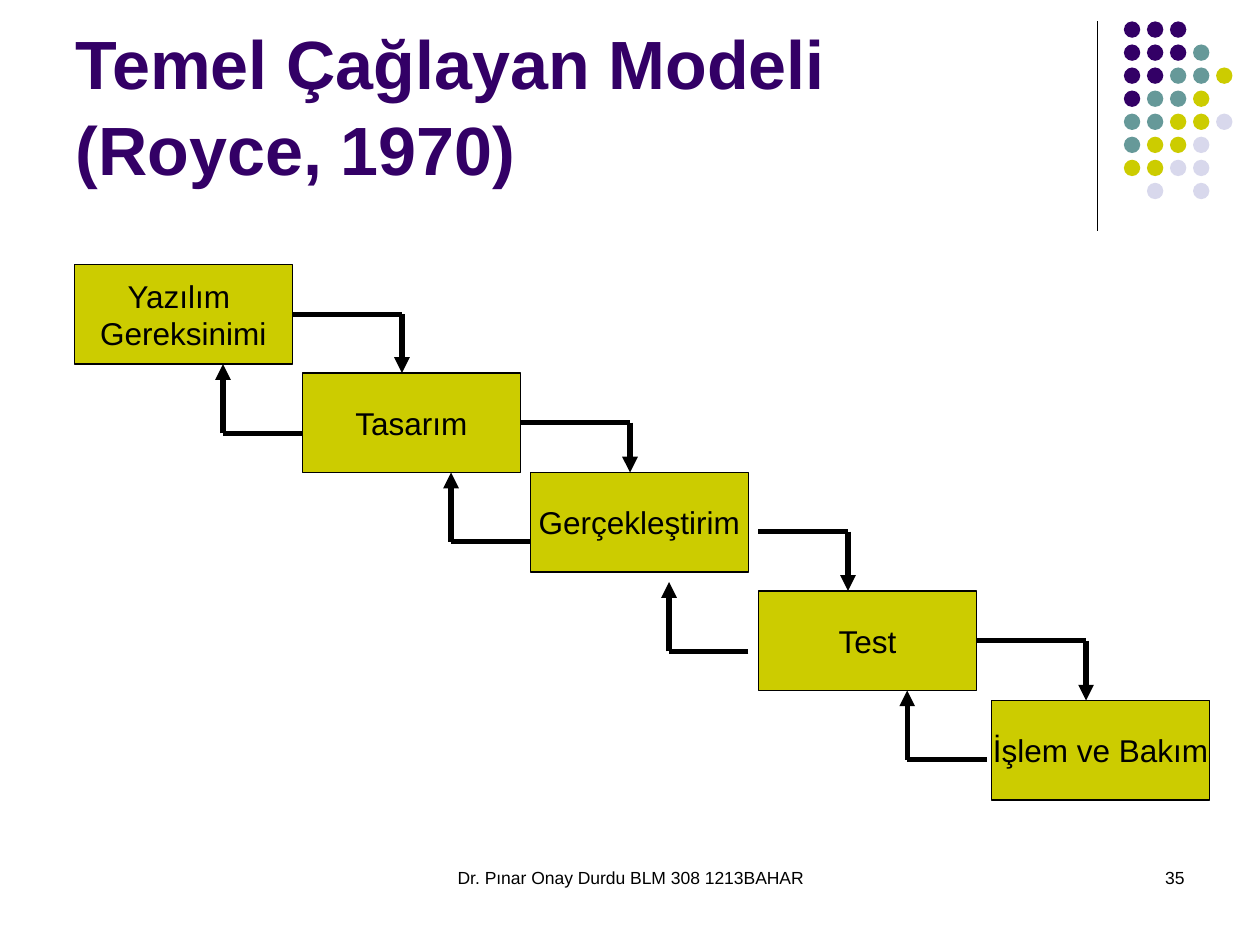
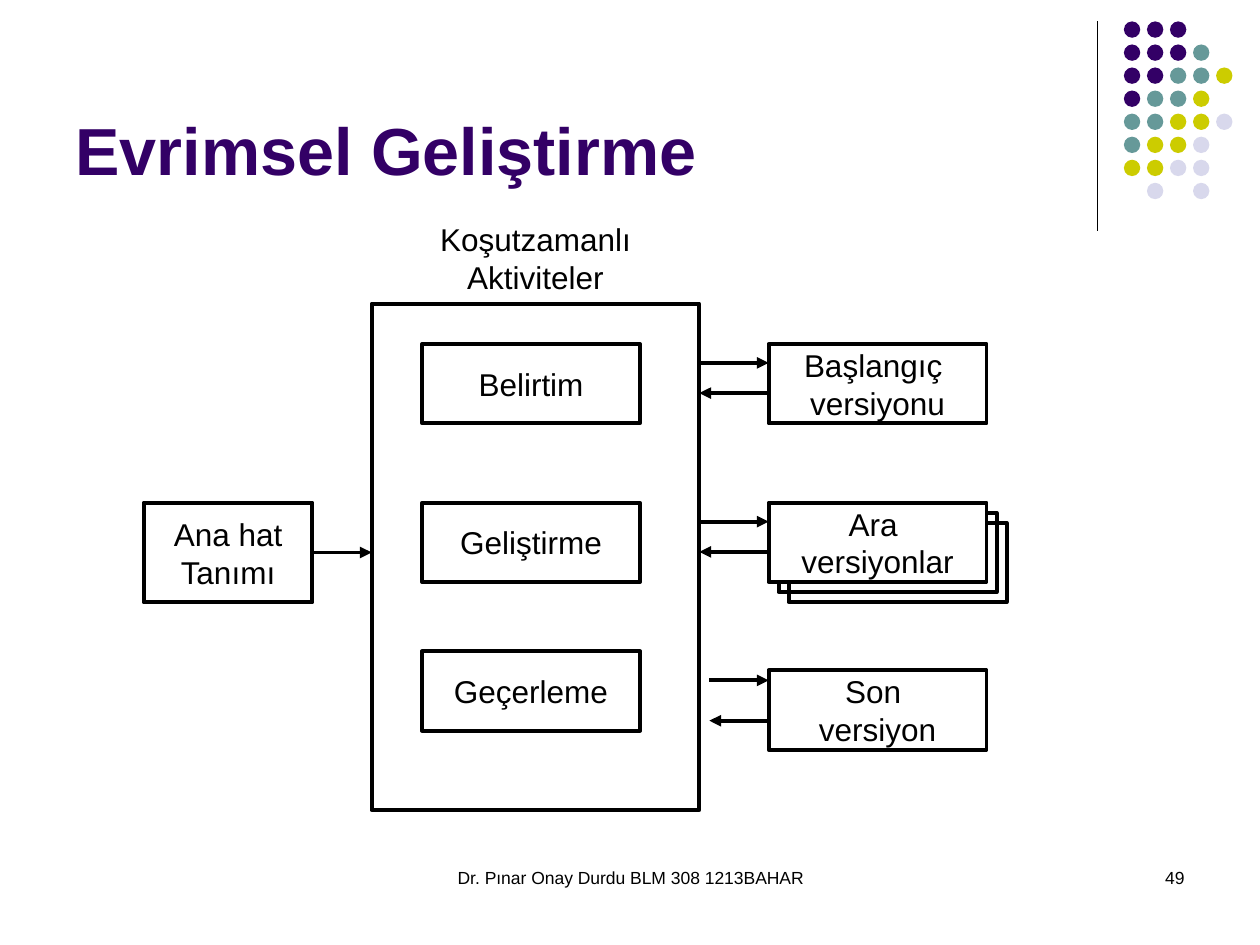
from lxml import etree
from pptx import Presentation
from pptx import util as u
from pptx.dml.color import RGBColor
from pptx.enum import shapes, text
from pptx.oxml import ns

COLORS = {"ink": "000000", "purple": "330066", "teal": "669999",
          "olive": "CCCC00", "lilac": "D8D8EC", "white": "FFFFFF"}
FONT = "Arial"
FOOTER = "Dr. Pınar Onay Durdu BLM 308 1213BAHAR"
DOT_KEYS = {"P": "purple", "T": "teal", "Y": "olive", "L": "lilac"}
DOT_ROWS = ["PPP", "PPPT", "PPTTY", "PTTY", "TTYYL", "TYYL", "YYLL", " L L"]
CENTER, LEFT, RIGHT = (text.PP_ALIGN.CENTER, text.PP_ALIGN.LEFT, text.PP_ALIGN.RIGHT)


def rgb(name):
    return RGBColor.from_string(COLORS[name])


def inches(*values):
    return [u.Inches(v) for v in values]


def write(sp, words, size, align=CENTER, color="ink", bold=False):
    """Fill a shape with text and format every run."""
    tf = sp.text_frame
    tf.text = words
    for p in tf.paragraphs:
        p.alignment = align
        for r in p.runs:
            r.font.name, r.font.size, r.font.bold = FONT, u.Pt(size), bold
            r.font.color.rgb = rgb(color)
    return tf


def add_text(s, box, words, size, align=CENTER):
    sp = s.shapes.add_textbox(*inches(*box))
    write(sp, words, size, align).word_wrap = True


def add_shape(s, kind, box, fill=None, line=None):
    sp = s.shapes.add_shape(kind, *inches(*box))
    sp.shadow.inherit = False
    if fill:
        sp.fill.solid()
        sp.fill.fore_color.rgb = rgb(fill)
    else:
        sp.fill.background()
    if line:
        sp.line.color.rgb, sp.line.width = rgb("ink"), u.Pt(line)
    else:
        sp.line.fill.background()
    return sp


def add_box(s, box, words="", fill=None, line=2.25):
    sp = add_shape(s, shapes.MSO_SHAPE.RECTANGLE, box, fill, line)
    if words:
        tf = write(sp, words, 18)
        tf.word_wrap = False
        tf.vertical_anchor = text.MSO_ANCHOR.MIDDLE
    return sp


def add_line(s, start, end, width, arrow=False):
    c = s.shapes.add_connector(shapes.MSO_CONNECTOR.STRAIGHT, *inches(*start, *end))
    c.line.color.rgb, c.line.width = rgb("ink"), u.Pt(width)
    if arrow:
        ln = c.line._get_or_add_ln()
        etree.SubElement(ln, ns.qn("a:tailEnd"), type="triangle")
    etree.SubElement(c._element.spPr, ns.qn("a:effectLst"))
    return c


def add_dots(s, left, top, pitch=0.183, size=0.13):
    """Corner ornament: rows of dots beside a vertical rule."""
    add_line(s, (left - 0.21, top), (left - 0.21, top + 1.66), 0.75)
    for row, keys in enumerate(DOT_ROWS):
        for col, key in enumerate(keys):
            if key in DOT_KEYS:
                box = (left + col * pitch, top + row * pitch, size, size)
                add_shape(s, shapes.MSO_SHAPE.OVAL, box, DOT_KEYS[key])


def add_slide(prs, title, size, number):
    """Title-only slide with the shared ornament and footer."""
    s = prs.slides.add_slide(prs.slide_layouts[5])
    add_dots(s, 8.92, 0.17)
    add_text(s, (3.42, 6.83, 3.17, 0.5), FOOTER, 10)
    add_text(s, (7.17, 6.83, 2.33, 0.5), str(number), 10, RIGHT)
    sp = s.shapes.title
    sp.left, sp.top, sp.width, sp.height = inches(0.5, 0.13, 8.25, 1.42)
    tf = write(sp, title, size, LEFT, "purple", True)
    tf.auto_size = text.MSO_AUTO_SIZE.NONE
    tf.word_wrap = True
    tf.vertical_anchor = text.MSO_ANCHOR.BOTTOM
    tf.paragraphs[0].line_spacing = 1.05
    return s


def add_waterfall(s, left, top):
    """Staircase of phases with an arrow down and an arrow back at each step."""
    w, h = 1.73, 0.79
    phases = [("Yazılım \nGereksinimi", 0, 0), ("Tasarım", 1.81, 0.86),
              ("Gerçekleştirim", 3.62, 1.65), ("Test", 5.43, 2.59),
              ("İşlem ve Bakım", 7.28, 3.46)]
    boxes = [add_box(s, (left + x, top + y, w, h), words, "olive", 0.75)
             for words, x, y in phases]

    # Per step: turn of the arrow down, corner of the arrow back, free start
    steps = [(2.6, (1.18, 1.34), None), (4.41, (2.99, 2.2), None),
             (6.14, (4.72, 3.07), (5.43, 2.12)), (8.03, (6.61, 3.93), None)]
    for i, (turn, (back_x, back_y), free) in enumerate(steps):
        _, x, y = phases[i]
        start_x, start_y = free or (x + w, y + h / 2)
        corner = (left + turn, top + start_y)
        out = add_line(s, (left + start_x, top + start_y), corner, 3)
        if not free:
            out.begin_connect(boxes[i], 3)
        add_line(s, corner, (corner[0], top + phases[i + 1][2]), 3, True)
        back = (left + back_x, top + back_y)
        add_line(s, (back[0] + 0.63, back[1]), back, 3)
        add_line(s, back, (back[0], back[1] - 0.55), 3, True)


def add_activities(s, left, top, width, height):
    """Captioned frame holding the concurrent activities."""
    add_text(s, (left + 0.16, top - 0.71, 2.28, 0.7), "Koşutzamanlı Aktiviteler", 18)
    add_box(s, (left, top, width, height))
    for words, y in [("Belirtim", 0.32), ("Geliştirme", 1.58), ("Geçerleme", 2.76)]:
        add_box(s, (left + 0.4, top + y, 1.73, 0.63), words)


def add_versions(s, left, top):
    """Versions, each exchanging a pair of arrows with the frame on the left."""
    w, h = 1.73, 0.63
    # Text, top, sheets behind, arrow length, heights of arrows in and out
    versions = [("Başlangıç \nversiyonu", 0, 0, 0.55, 0.15, 0.39),
                ("Ara \nversiyonlar", 1.26, 2, 0.55, 0.15, 0.39),
                ("Son \nversiyon", 2.59, 0, 0.47, 0.08, 0.4)]
    for words, y, sheets, reach, arrow_in, arrow_out in versions:
        y += top
        for n in range(sheets, 0, -1):
            add_box(s, (left + 0.08 * n, y + 0.08 * n, w, h))
        add_box(s, (left, y, w, h), words, "white" if sheets else None)
        add_line(s, (left - reach, y + arrow_in), (left, y + arrow_in), 2.25, True)
        add_line(s, (left, y + arrow_out), (left - reach, y + arrow_out), 2.25, True)


def add_outline(s, left, top, width, height, reach):
    """Starting description with its arrow into the frame."""
    sp = add_box(s, (left, top, width, height), "Ana hat\nTanımı")
    y = top + height / 2
    c = add_line(s, (left + width, y), (left + width + reach, y), 2.25, True)
    c.begin_connect(sp, 3)


def main():
    prs = Presentation()
    prs.slide_width, prs.slide_height = inches(10, 7.5)

    s = add_slide(prs, "Temel Çağlayan Modeli (Royce, 1970)", 39, 35)
    add_waterfall(s, 0.59, 2.1)

    s = add_slide(prs, "Evrimsel Geliştirme", 38, 49)
    add_activities(s, 2.95, 2.41, 2.6, 4.02)
    add_outline(s, 1.14, 3.99, 1.34, 0.79, 0.47)
    add_versions(s, 6.1, 2.73)

    prs.save("out.pptx")


if __name__ == "__main__":
    main()
